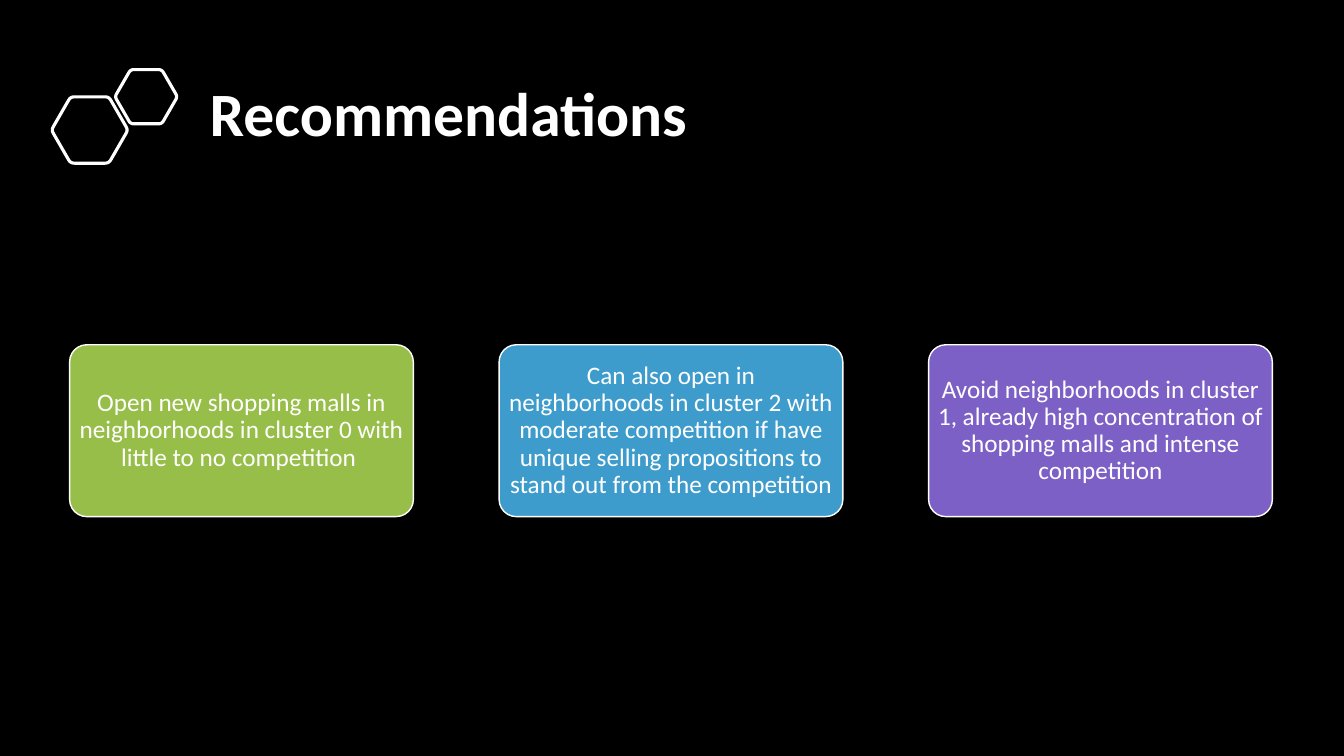
import math

import pptx
import pptx.dml.color
import pptx.enum.shapes
import pptx.enum.text
import pptx.util

# Content
TITLE = "Recommendations"
COLORS = {"back": "000000", "white": "FFFFFF", "green": "97BE49",
          "blue": "3D9CCC", "purple": "7C60C6"}
CARDS = [
    ("green", "Open new shopping malls in neighborhoods in cluster 0 "
              "with little to no competition "),
    ("blue", "Can also open in neighborhoods in cluster 2 with moderate "
             "competition if have unique selling propositions to stand out "
             "from the competition"),
    ("purple", "Avoid neighborhoods in cluster 1, already high concentration "
               "of shopping malls and intense competition"),
]

# Layout in inches
SLIDE_WIDTH, SLIDE_HEIGHT = 13.33, 7.5
TITLE_BOX = (1.98, 0.57, 10.81, 1.17)
CARD_LEFT, CARD_TOP, CARD_WIDTH = 0.69, 3.42, 3.41
CARD_HEIGHT = CARD_WIDTH / 2
CARD_STEP = 4.26
HEXAGONS = [(0.89, 1.29, 0.38), (1.45, 0.96, 0.31)]  # centre x, y, side
CORNER_CUT = 0.1  # share of a side that is rounded off
CURVE_STEPS = 6

inches = pptx.util.Inches


def rgb(name):
    return pptx.dml.color.RGBColor.from_string(COLORS[name])


def write(frame, text, size, align, bold=False):
    frame.text = text
    frame.word_wrap = True
    frame.auto_size = pptx.enum.text.MSO_AUTO_SIZE.NONE
    frame.vertical_anchor = pptx.enum.text.MSO_ANCHOR.MIDDLE
    para = frame.paragraphs[0]
    para.alignment = align
    para.line_spacing = 0.9
    para.space_before = pptx.util.Pt(0)
    font = para.runs[0].font
    font.name, font.size, font.bold = "Calibri", pptx.util.Pt(size), bold
    font.color.rgb = rgb("white")


def outline(shape, width):
    shape.shadow.inherit = False
    shape.line.color.rgb = rgb("white")
    shape.line.width = pptx.util.Pt(width)


def between(start, end, share):
    return tuple(a + (b - a) * share for a, b in zip(start, end))


def rounded_hexagon(center_x, center_y, side):
    corners = [(center_x + side * math.cos(math.radians(60 * turn)),
                center_y + side * math.sin(math.radians(60 * turn)))
               for turn in range(6)]
    points = []
    for turn, corner in enumerate(corners):
        start = between(corner, corners[turn - 1], CORNER_CUT)
        end = between(corner, corners[(turn + 1) % 6], CORNER_CUT)
        for step in range(CURVE_STEPS + 1):
            share = step / CURVE_STEPS
            points.append(between(between(start, corner, share),
                                  between(corner, end, share), share))
    return points


# Slide
deck = pptx.Presentation()
deck.slide_width, deck.slide_height = inches(SLIDE_WIDTH), inches(SLIDE_HEIGHT)
page = deck.slides.add_slide(deck.slide_layouts[5])
page.background.fill.solid()
page.background.fill.fore_color.rgb = rgb("back")

# Title
title = page.shapes.title
title.left, title.top, title.width, title.height = map(inches, TITLE_BOX)
write(title.text_frame, TITLE, 44, pptx.enum.text.PP_ALIGN.LEFT, bold=True)

# Hexagon ornament
for hexagon in HEXAGONS:
    points = [(inches(x), inches(y)) for x, y in rounded_hexagon(*hexagon)]
    builder = page.shapes.build_freeform(*points[0])
    builder.add_line_segments(points[1:], close=True)
    shape = builder.convert_to_shape()
    shape.fill.background()
    outline(shape, 2.25)

# Recommendation cards
for column, (color, text) in enumerate(CARDS):
    card = page.shapes.add_shape(
        pptx.enum.shapes.MSO_SHAPE.ROUNDED_RECTANGLE,
        inches(CARD_LEFT + column * CARD_STEP), inches(CARD_TOP),
        inches(CARD_WIDTH), inches(CARD_HEIGHT))
    card.adjustments[0] = 0.1
    card.fill.solid()
    card.fill.fore_color.rgb = rgb(color)
    outline(card, 1)
    frame = card.text_frame
    # The rounded corner already insets the text by 0.05
    frame.margin_left = frame.margin_right = inches(0.04)
    frame.margin_top = frame.margin_bottom = inches(0.03)
    write(frame, text, 18, pptx.enum.text.PP_ALIGN.CENTER)

deck.save("out.pptx")
